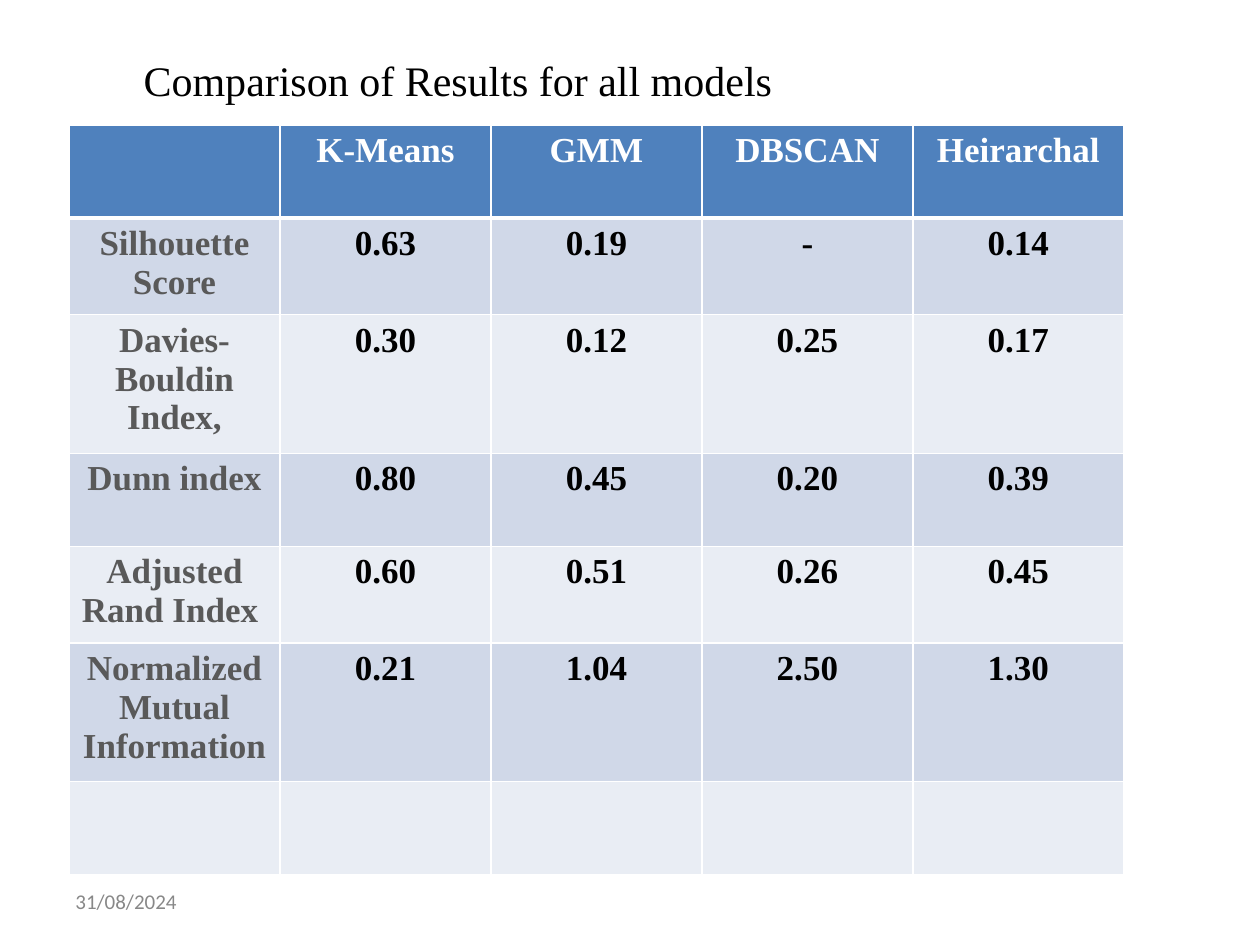
from lxml.etree import SubElement
from pptx import Presentation
from pptx.dml.color import RGBColor
from pptx.enum.text import MSO_ANCHOR, MSO_AUTO_SIZE, PP_ALIGN
from pptx.oxml import parse_xml
from pptx.oxml.ns import nsdecls, qn
from pptx.util import Pt

PX = 914400 // 126  # EMU in one px
SERIF, SANS = "Times New Roman", "Calibri"
BLACK = RGBColor(0x00, 0x00, 0x00)
WHITE = RGBColor(0xFF, 0xFF, 0xFF)
LABEL_GRAY = RGBColor(0x59, 0x59, 0x59)
DATE_GRAY = RGBColor(0x88, 0x88, 0x88)
HEADER_BLUE = RGBColor(0x4F, 0x81, 0xBD)
BANDS = (RGBColor(0xE9, 0xED, 0xF4), RGBColor(0xD0, 0xD8, 0xE8))

COL_WIDTH, ROW_HEIGHT = 211, 93
RESULTS = [
    ("", "K-Means", "GMM", "DBSCAN", "Heirarchal"),
    ("Silhouette Score", "0.63", "0.19", "-", "0.14"),
    ("Davies-Bouldin Index,", "0.30", "0.12", "0.25", "0.17"),
    ("Dunn index", "0.80", "0.45", "0.20", "0.39"),
    ("Adjusted Rand Index ", "0.60", "0.51", "0.26", "0.45"),
    ("Normalized Mutual Information", "0.21", "1.04", "2.50", "1.30"),
    ("", "", "", "", ""),
]


def px(*lengths):
    return [n * PX for n in lengths]


def write(tf, text, size=20, font=SERIF, color=BLACK, bold=False,
          align=PP_ALIGN.LEFT):
    p = tf.paragraphs[0]
    p.alignment = align
    r = p.add_run()
    r.text = text
    r.font.size, r.font.name, r.font.bold = Pt(size), font, bold
    r.font.color.rgb = color


def set_borders(cell, bottom=1, top=1):
    tc_pr = cell._tc.get_or_add_tcPr()
    widths = {"lnL": 1, "lnR": 1, "lnT": top, "lnB": bottom}
    # Border lines must come before the fill
    for i, (side, width) in enumerate(widths.items()):
        ln = parse_xml(f'<a:{side} {nsdecls("a")} w="{Pt(width)}"/>')
        fill = SubElement(ln, qn("a:solidFill"))
        SubElement(fill, qn("a:srgbClr"), val=str(WHITE))
        tc_pr.insert(i, ln)


def add_title(s, text):
    title = s.shapes.title
    title.left, title.top, title.width, title.height = px(131, 48, 830, 63)
    tf = title.text_frame
    tf.word_wrap = True
    tf.auto_size = MSO_AUTO_SIZE.SHAPE_TO_FIT_TEXT
    tf.vertical_anchor = MSO_ANCHOR.TOP
    write(tf, text, size=24)


def add_results_table(s):
    rows, cols = len(RESULTS), len(RESULTS[0])
    table = s.shapes.add_table(
        rows, cols, *px(69, 125, cols * COL_WIDTH, rows * ROW_HEIGHT)).table
    for i, values in enumerate(RESULTS):
        for j, text in enumerate(values):
            cell = table.cell(i, j)
            cell.fill.solid()
            cell.fill.fore_color.rgb = BANDS[i % 2] if i else HEADER_BLUE
            # Heavier rule under the header row
            set_borders(cell, bottom=1 if i else 3, top=3 if i == 1 else 1)
            if text:
                color = WHITE if i == 0 else BLACK if j else LABEL_GRAY
                write(cell.text_frame, text, color=color, bold=True,
                      align=PP_ALIGN.CENTER)


def add_date(s, text):
    tf = s.shapes.add_textbox(*px(63, 876, 294, 50)).text_frame
    tf.word_wrap = True
    tf.vertical_anchor = MSO_ANCHOR.MIDDLE
    write(tf, text, size=12, font=SANS, color=DATE_GRAY)


def main():
    prs = Presentation()
    prs.slide_width, prs.slide_height = px(1260, 945)
    s = prs.slides.add_slide(prs.slide_layouts[5])  # title only
    add_date(s, "31/08/2024")
    add_results_table(s)
    add_title(s, "Comparison of Results for all models")
    prs.save("out.pptx")


if __name__ == "__main__":
    main()
